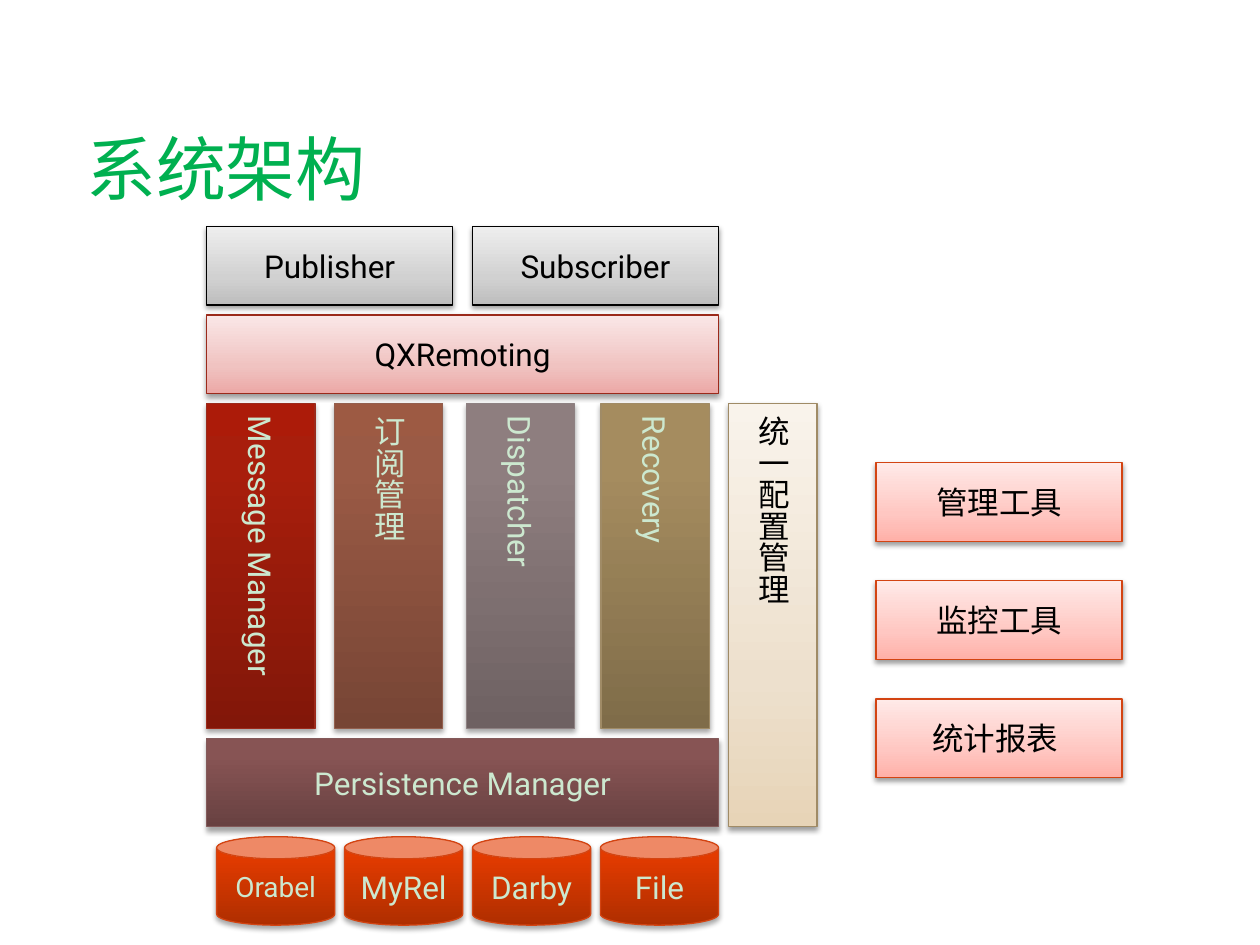
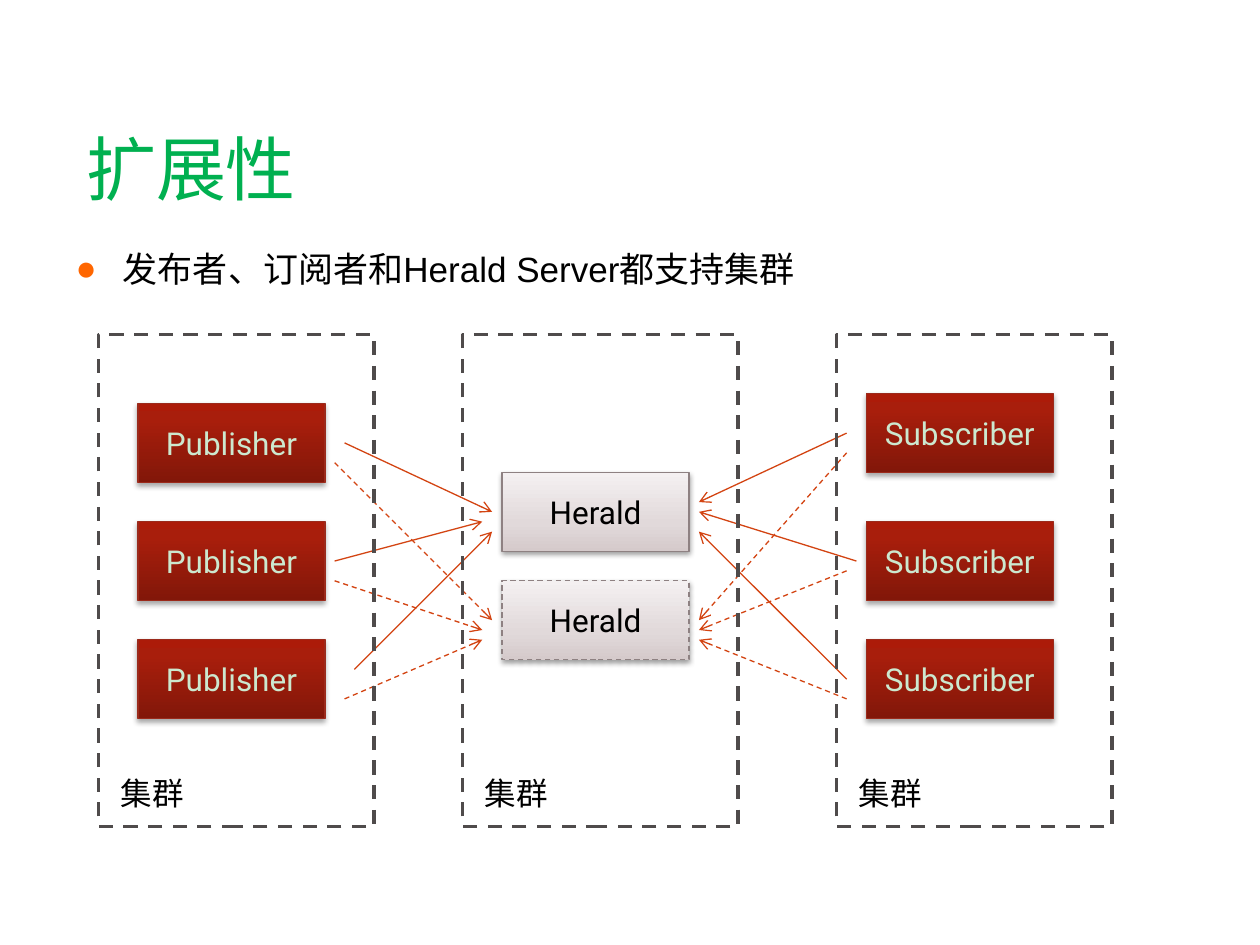
from copy import deepcopy

from lxml.etree import SubElement
from pptx import Presentation
from pptx.dml.color import RGBColor
from pptx.enum.dml import MSO_LINE
from pptx.enum.shapes import MSO_CONNECTOR, MSO_SHAPE
from pptx.enum.text import MSO_ANCHOR, MSO_AUTO_SIZE, PP_ALIGN
from pptx.oxml.ns import qn
from pptx.util import Pt

PALE, BLACK, GREEN = "CCE8CF", "000000", "00B050"
ORANGE, BULLET, FRAME = "D34412", "FF6600", "4F4B4B"

# style: gradient from bottom to top, line colour, text colour
STYLES = {
    "red": (("821709", "A81E0C", "AC1B09"), "9B2A1B", PALE),
    "brown": (("774535", "9A5A45", "9D5A43"), "935F4E", PALE),
    "mauve": (("6E6162", "8E7E7F", "8F7E80"), "8E8182", PALE),
    "olive": (("7F6C49", "A58C5F", "A78D5E"), "A08B66", PALE),
    "plum": (("684141", "875454", "885454"), "835A5A", PALE),
    "orange": (("AF2E00", "E33B00", "E43B00"), ORANGE, PALE),
    "light red": (("ECA8A6", "F0C3C1", "FAE7E7"), "9B2A1B", BLACK),
    "light grey": (("BDBDBD", "D1D1D1", "EEEEEE"), BLACK, BLACK),
    "light olive": (("E7D4B7", "EDE0CD", "F9F3EB"), "A08B66", BLACK),
    "light orange": (("FFB0A8", "FFC7C2", "FFEAE8"), ORANGE, BLACK),
    "light mauve": (("D5CACB", "E1D9DA", "F4F0F1"), "8E8182", BLACK),
}


def write(sp, text, color=BLACK, size=18, name="Roboto", align=None):
    p = sp.text_frame.paragraphs[0]
    p.alignment = align
    r = p.add_run()
    r.text = text
    for key, value in {"size": Pt(size), "name": name}.items():
        setattr(r.font, key, value)
    r.font.color.rgb = RGBColor.from_string(color)
    return p


def box(s, text, style, x, y, w, h, shape=MSO_SHAPE.RECTANGLE, size=18, vertical=False):
    """Add a labelled shape with a gradient fill and a soft shadow."""
    colors, line, ink = STYLES[style]
    dark = ink == PALE
    sp = s.shapes.add_shape(shape, Pt(x), Pt(y), Pt(w), Pt(h))
    sp.fill.gradient()
    sp.fill.gradient_angle = 90
    stop_list = sp._element.spPr.find(".//" + qn("a:gsLst"))
    stop_list.append(deepcopy(stop_list[-1]))
    positions = (0, 0.8 if dark else 0.35, 1)
    for stop, position, color in zip(sp.fill.gradient_stops, positions, colors):
        stop.position = position
        stop.color.rgb = RGBColor.from_string(color)
    sp.line.color.rgb = RGBColor.from_string(line)
    sp.line.width = Pt(0.75)

    sp.shadow.inherit = False
    effects = sp._element.spPr.find(qn("a:effectLst"))
    shadow = SubElement(effects, qn("a:outerShdw"), blurRad=str(Pt(3.1)),
                        dist=str(Pt(1.8 if dark else 1.6)), dir="5400000", rotWithShape="0")
    black = SubElement(shadow, qn("a:srgbClr"), val=BLACK)
    SubElement(black, qn("a:alpha"), val="35000" if dark else "38000")

    sp.text_frame.vertical_anchor = MSO_ANCHOR.MIDDLE
    if vertical:
        sp.text_frame._txBody.bodyPr.set("vert", "eaVert")
    write(sp, text, ink, size, align=PP_ALIGN.CENTER)
    return sp


prs = Presentation()
prs.slide_width, prs.slide_height = Pt(720), Pt(540)
architecture = prs.slides.add_slide(prs.slide_layouts[5])
scaling = prs.slides.add_slide(prs.slide_layouts[1])
for s, heading in ((architecture, "系统架构"), (scaling, "扩展性")):
    title = s.shapes.title
    title.left, title.top, title.width, title.height = Pt(42), Pt(71.5), Pt(642.2), Pt(48.2)
    title.text_frame.vertical_anchor = MSO_ANCHOR.MIDDLE
    write(title, heading, GREEN, 40, align=PP_ALIGN.LEFT)

# Slide 1: layers of the system
s = architecture
left, full_width = 118.1, 292.5
box(s, "Persistence Manager", "plum", left, 421.9, full_width, 50.6)
for i, (store, size) in enumerate((("Orabel", 16), ("MyRel", 18), ("Darby", 18), ("File", 18))):
    box(s, store, "orange", 123.8 + 73.1 * i, 478.1, 67.5, 50.6, MSO_SHAPE.CAN, size)
box(s, "QXRemoting", "light red", left, 180, full_width, 45)
for client, x in (("Publisher", left), ("Subscriber", 270)):
    box(s, client, "light grey", x, 129.4, 140.6, 45)
for module, style, x in (("Message Manager", "red", left), ("订阅管理", "brown", 191.2),
                         ("Dispatcher", "mauve", 266.4), ("Recovery", "olive", 343.4)):
    box(s, module, style, x, 230.6, 61.9, 185.6, vertical=True)
box(s, "统一配置管理", "light olive", 416.2, 230.6, 50.6, 241.9, vertical=True)
for i, tool in enumerate(("管理工具", "监控工具", "统计报表 ")):
    box(s, tool, "light orange", 500.6, 264.4 + 67.5 * i, 140.6, 45)

# Slide 2: clusters on both sides of the servers
s = scaling
body = s.placeholders[1]
body.left, body.top, body.width, body.height = Pt(36), Pt(137.8), Pt(648), Pt(344.2)
p = write(body, "发布者、订阅者和Herald Server都支持集群", size=20, name="Arial")
pPr = p._p.get_or_add_pPr()
for key, value in {"marL": Pt(27), "indent": Pt(-27)}.items():
    pPr.set(key, str(value))
SubElement(SubElement(pPr, qn("a:buClr")), qn("a:srgbClr"), val=BULLET)
SubElement(pPr, qn("a:buChar"), char="●")

for name, style, x, tops in (("Publisher", "red", 78.8, (230.6, 298.1, 365.6)),
                             ("Herald", "light mauve", 286.9, (270, 331.9)),
                             ("Subscriber", "red", 495, (225, 298.1, 365.6))):
    for y in tops:
        node = box(s, name, style, x, y, 106.9, 45)
        if name == "Herald" and y == tops[-1]:
            node.line.dash_style = MSO_LINE.DASH

# solid arrows go to the first server, dashed ones to the second, in turn
arrows = (
    (196.9, 253.1, 281.2, 292.5), (191.2, 264.4, 281.2, 354.4),
    (191.2, 320.6, 275.6, 298.1), (191.2, 331.9, 275.6, 360),
    (202.5, 382.5, 281.2, 303.8), (196.9, 399.4, 275.6, 365.6),
    (483.8, 247.5, 399.4, 286.9), (483.8, 258.8, 399.4, 354.4),
    (489.4, 320.6, 399.4, 292.5), (483.8, 326.2, 399.4, 360),
    (483.8, 388.1, 399.4, 303.8), (483.8, 399.4, 399.4, 365.6),
)
for i, ends in enumerate(arrows):
    arrow = s.shapes.add_connector(MSO_CONNECTOR.STRAIGHT, *(Pt(v) for v in ends))
    arrow.line.color.rgb = RGBColor.from_string(ORANGE)
    arrow.line.width = Pt(0.75)
    if i % 2:
        arrow.line.dash_style = MSO_LINE.DASH
    SubElement(arrow.line._get_or_add_ln(), qn("a:tailEnd"), type="arrow")
    SubElement(arrow._element.spPr, qn("a:effectLst"))

cluster_lefts = (56.2, 264.4, 478.1)
for x in cluster_lefts:
    frame = s.shapes.add_shape(MSO_SHAPE.RECTANGLE, Pt(x), Pt(191.2), Pt(157.5), Pt(281.2))
    frame.shadow.inherit = False
    frame.fill.background()
    frame.line.color.rgb = RGBColor.from_string(FRAME)
    frame.line.width = Pt(2)
    frame.line.dash_style = MSO_LINE.DASH
for x in cluster_lefts:
    label = s.shapes.add_textbox(Pt(x + 5.6), Pt(438.8), Pt(51), Pt(29))
    label.text_frame.word_wrap = False
    label.text_frame.auto_size = MSO_AUTO_SIZE.SHAPE_TO_FIT_TEXT
    write(label, "集群")

prs.save("out.pptx")
